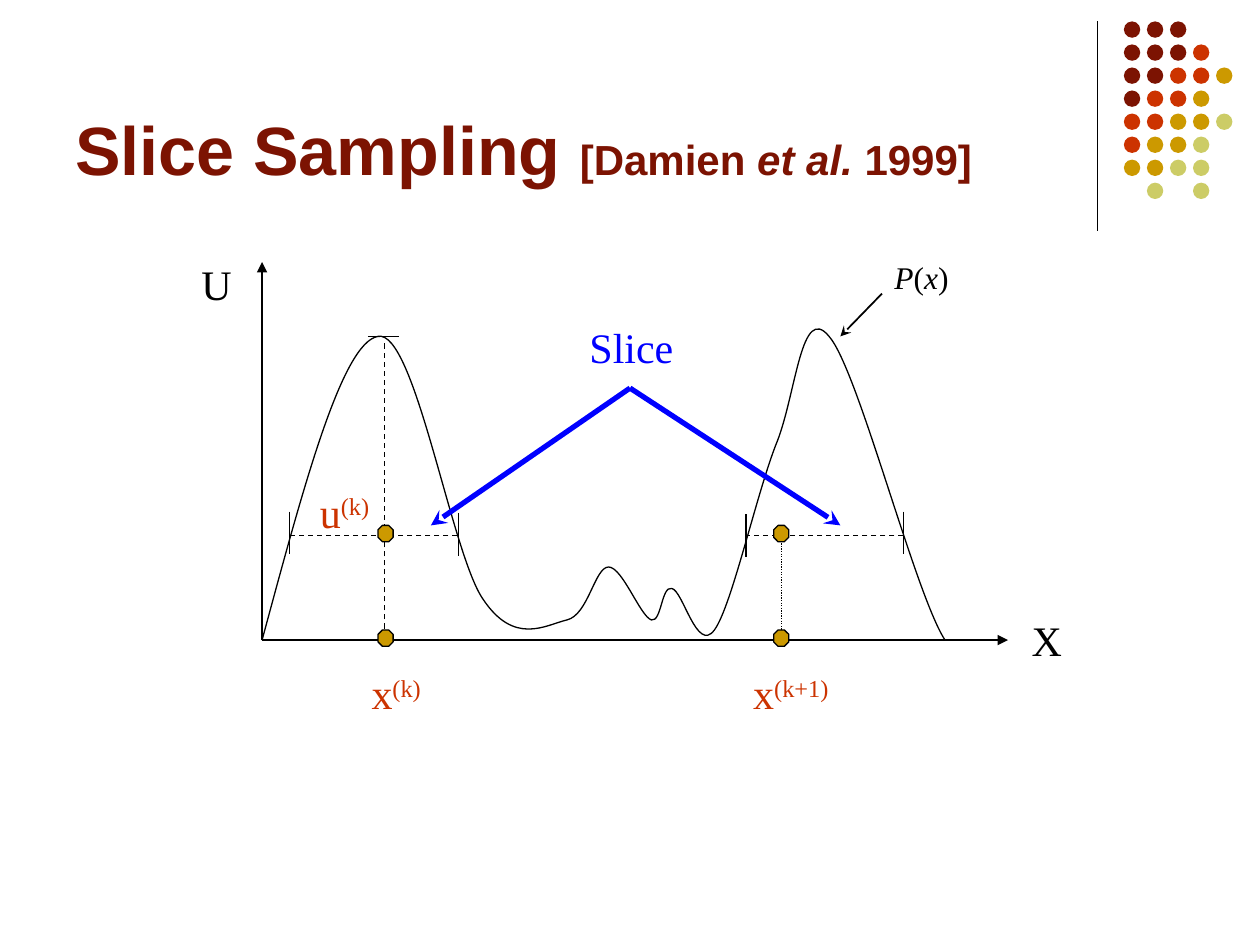
from lxml.etree import SubElement
from pptx import Presentation
from pptx.dml.color import RGBColor
from pptx.enum.dml import MSO_LINE
from pptx.enum.shapes import MSO_CONNECTOR, MSO_SHAPE
from pptx.enum.text import MSO_ANCHOR, MSO_AUTO_SIZE
from pptx.oxml.ns import qn
from pptx.util import Inches, Pt

BLACK, BLUE, MAROON, RED, GOLD, OLIVE = "000000", "0000FF", "7C1302", "CC3300", "CC9900", "CCCC66"
SERIF, SANS = "Times New Roman", "Arial"

DOT_ROWS = ["MMM", "MMMR", "MMRRG", "MRRG", "RRGGO", "RGGO", "GGOO", " O O"]
DOT_COLORS = {"M": MAROON, "R": RED, "G": GOLD, "O": OLIVE}
DOT_LEFT, DOT_TOP, DOT_SIZE = 8.92, 0.17, 0.13
DOT_PITCH = 1.28 / 7

TITLE = [("Slice Sampling ", 39, "b"), ("[Damien ", 24, "b"), ("et al.", 24, "bi"), (" 1999]", 24, "b")]
LABELS = [
    ((8.09, 4.83, 0.44, 0.5), BLACK, [("X", 24, "")]),
    ((1.5, 2, 0.44, 0.5), BLACK, [("U", 24, "")]),
    ((2.85, 5.25, 0.59, 0.5), RED, [("x", 24, ""), ("(k)", 24, "^")]),
    ((2.44, 3.81, 0.59, 0.5), RED, [("u", 24, ""), ("(k)", 24, "^")]),
    ((5.88, 5.25, 0.8, 0.5), RED, [("x", 24, ""), ("(k+1)", 24, "^")]),
    ((4.58, 2.5, 0.88, 0.5), BLUE, [("Slice", 24, "")]),
    ((7, 2, 0.63, 0.4), BLACK, [("P", 18, "i"), ("(", 18, ""), ("x", 18, "i"), (")", 18, "")]),
]

ORIGIN = (2.08, 5.08)
SLICE_LEVEL = 4.25
SLICE_APEX = (5, 3.08)
PLAIN_LINES = [
    ((8.71, 0.17), (8.71, 1.83)),
    ((2.92, 2.67), (3.17, 2.67)),
    ((2.3, 4.06), (2.3, 4.4)),
    ((3.64, 4.07), (3.64, 4.41)),
    ((5.92, 4.08), (5.92, 4.42)),
    ((7.17, 4.06), (7.17, 4.4)),
]
DASHED_LINES = [
    ((3.05, 5.06), (3.05, 2.72)),
    ((3.63, SLICE_LEVEL), (2.3, SLICE_LEVEL)),
    ((7.17, SLICE_LEVEL), (5.92, SLICE_LEVEL)),
]
ARROWS = [
    (ORIGIN, (8, 5.08), BLACK, 0.75, "triangle"),
    (ORIGIN, (2.08, 2.08), BLACK, 0.75, "triangle"),
    (SLICE_APEX, (6.67, 4.17), BLUE, 3, "stealth"),
    (SLICE_APEX, (3.42, 4.17), BLUE, 3, "stealth"),
    ((7, 2.33), (6.67, 2.67), BLACK, 1, "stealth"),
]
SAMPLE_LEFTS, SAMPLE_TOPS = (3, 6.14), (4.17, 5)
DENSITY = [
    ((2.4, 3.9), (2.71, 2.72), (3, 2.67)),
    ((3.29, 2.61), (3.58, 4.38), (3.83, 4.75)),
    ((4.08, 5.13), (4.33, 4.96), (4.5, 4.92)),
    ((4.67, 4.88), (4.72, 4.5), (4.83, 4.5)),
    ((4.94, 4.5), (5.08, 4.89), (5.17, 4.92)),
    ((5.25, 4.94), (5.25, 4.65), (5.33, 4.67)),
    ((5.42, 4.68), (5.53, 5.19), (5.67, 5)),
    ((5.81, 4.81), (6.01, 3.89), (6.17, 3.5)),
    ((6.32, 3.11), (6.36, 2.4), (6.58, 2.67)),
    ((6.81, 2.93), (7.26, 4.71), (7.5, 5.08)),
]


def rgb(color):
    return RGBColor.from_string(color)


def inches(values):
    return [Inches(value) for value in values]


def add_line(slide, start, end, color=BLACK, width=0.75, dash=None, arrow=None):
    connector = slide.shapes.add_connector(MSO_CONNECTOR.STRAIGHT, *inches((*start, *end)))
    connector.line.color.rgb = rgb(color)
    connector.line.width = Pt(width)
    if dash:
        connector.line.dash_style = dash
    if arrow:
        SubElement(connector.line._get_or_add_ln(), qn("a:tailEnd"), type=arrow)
    SubElement(connector._element.spPr, qn("a:effectLst"))


def add_marker(slide, preset, box, fill, outline=None):
    marker = slide.shapes.add_shape(preset, *inches(box))
    marker.shadow.inherit = False
    marker.fill.solid()
    marker.fill.fore_color.rgb = rgb(fill)
    if outline:
        marker.line.color.rgb = rgb(outline)
        marker.line.width = Pt(0.75)
    else:
        marker.line.fill.background()


def add_text(slide, box, color, runs, font, is_title=False):
    label = slide.shapes.add_textbox(*inches(box))
    frame = label.text_frame
    frame.word_wrap = is_title
    if is_title:
        frame.vertical_anchor = MSO_ANCHOR.BOTTOM
    else:
        frame.auto_size = MSO_AUTO_SIZE.SHAPE_TO_FIT_TEXT
    for words, size, style in runs:
        run = frame.paragraphs[0].add_run()
        run.text = words
        run.font.name = font
        run.font.size = Pt(size)
        run.font.color.rgb = rgb(color)
        run.font.bold = "b" in style
        run.font.italic = "i" in style
        if "^" in style:
            run._r.get_or_add_rPr().set("baseline", "30000")


def add_density(slide):
    builder = slide.shapes.build_freeform(*inches(ORIGIN))
    builder.add_line_segments(
        [inches(point) for segment in DENSITY for point in segment], close=False)
    density = builder.convert_to_shape()
    density.shadow.inherit = False
    density.fill.background()
    density.line.color.rgb = rgb(BLACK)
    density.line.width = Pt(0.75)

    outline = next(density._element.iter(qn("a:path")))
    steps = outline.findall(qn("a:lnTo"))
    for first in range(0, len(steps), 3):
        bezier = SubElement(outline, qn("a:cubicBezTo"))
        for step in steps[first:first + 3]:
            bezier.append(step[0])
            outline.remove(step)


def main():
    deck = Presentation()
    deck.slide_width, deck.slide_height = Inches(10), Inches(7.5)
    slide = deck.slides.add_slide(deck.slide_layouts[6])

    for row, dots in enumerate(DOT_ROWS):
        for column, dot in enumerate(dots):
            if dot in DOT_COLORS:
                box = (DOT_LEFT + column * DOT_PITCH, DOT_TOP + row * DOT_PITCH, DOT_SIZE, DOT_SIZE)
                add_marker(slide, MSO_SHAPE.OVAL, box, DOT_COLORS[dot])

    add_text(slide, (0.5, 0.13, 8.25, 1.42), MAROON, TITLE, SANS, is_title=True)
    for start, end in PLAIN_LINES:
        add_line(slide, start, end)
    for start, end in DASHED_LINES:
        add_line(slide, start, end, dash=MSO_LINE.DASH)
    add_line(slide, (6.2, SLICE_LEVEL), (6.2, 5.08), dash=MSO_LINE.ROUND_DOT)
    add_density(slide)
    for start, end, color, width, arrow in ARROWS:
        add_line(slide, start, end, color, width, arrow=arrow)
    for left in SAMPLE_LEFTS:
        for top in SAMPLE_TOPS:
            add_marker(slide, MSO_SHAPE.OCTAGON, (left, top, 0.12, 0.13), GOLD, BLACK)
    for box, color, runs in LABELS:
        add_text(slide, box, color, runs, SERIF)

    deck.save("out.pptx")


if __name__ == "__main__":
    main()
